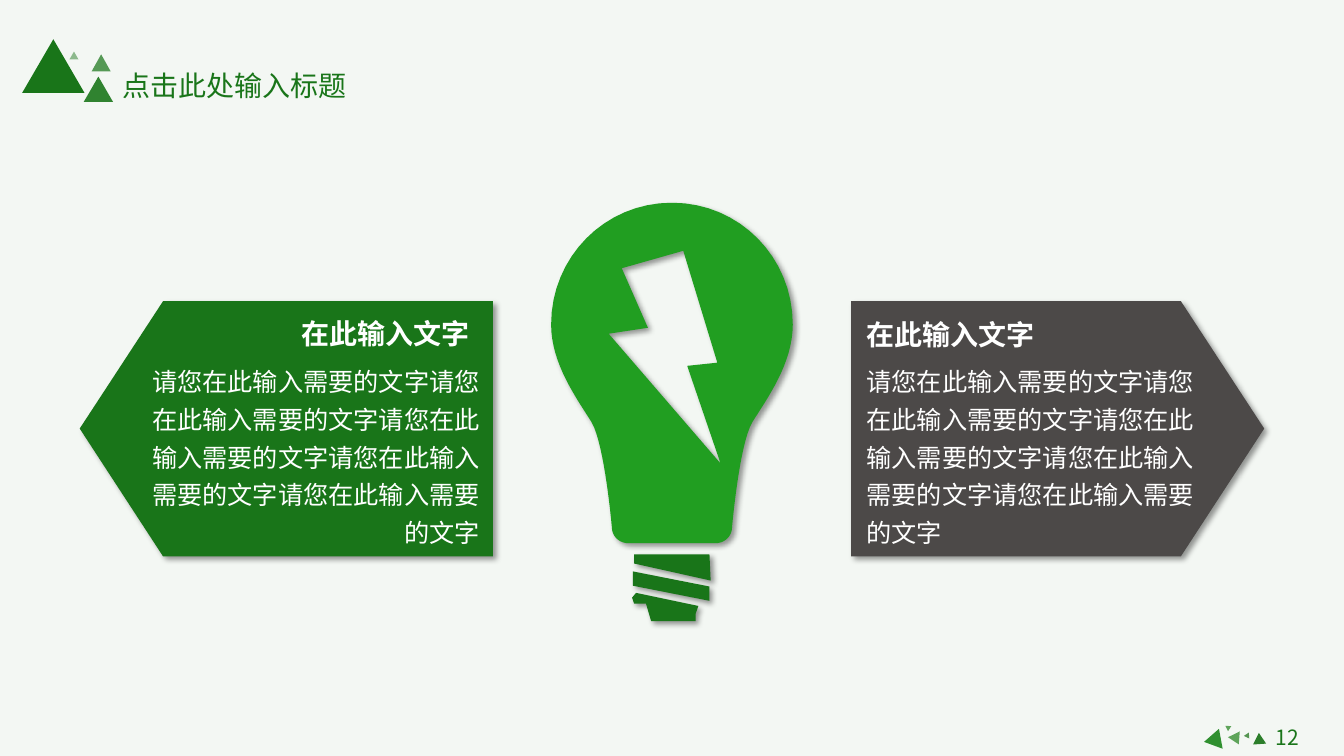
"""Build the light bulb slide with two arrow panels."""
from lxml.etree import SubElement
from pptx import Presentation
from pptx.dml.color import RGBColor
from pptx.enum.shapes import MSO_SHAPE
from pptx.enum.text import MSO_ANCHOR, PP_ALIGN
from pptx.oxml.ns import qn
from pptx.util import Cm, Pt

PALE = RGBColor(0xF3, 0xF7, 0xF3)
GREEN = RGBColor(0x19, 0x75, 0x19)
LEAF = RGBColor(0x21, 0x9E, 0x21)
GREY = RGBColor(0x4C, 0x49, 0x48)
WHITE = RGBColor(0xFF, 0xFF, 0xFF)
SAGE = RGBColor(0x5E, 0xA4, 0x5A)
FERN = RGBColor(0x30, 0x90, 0x30)
MOSS = RGBColor(0x2B, 0x7E, 0x2A)
DUST = RGBColor(0x55, 0x95, 0x51)
FACE = "Noto Sans CJK SC"
WIDE, HIGH = 33.87, 19.05

BODY = "请您在此输入需要的文字" * 5
HEAD = "在此输入文字"
LEFT, RIGHT, MID = PP_ALIGN.LEFT, PP_ALIGN.RIGHT, PP_ALIGN.CENTER
BIG = {"size": Pt(20), "bold": True}
TEXTS = [
    (BODY, (3.48, 8.92, 8.86, 5.05), RIGHT, 1.25, True, WHITE, {"size": Pt(18)}),
    (BODY, (21.59, 8.92, 8.86, 5.05), LEFT, 1.25, True, WHITE, {"size": Pt(18)}),
    (HEAD, (7.34, 7.85, 4.78, 1.12), LEFT, 1.0, False, WHITE, BIG),
    (HEAD, (21.59, 7.87, 4.78, 1.12), LEFT, 1.0, False, WHITE, BIG),
    ("12", (31.57, 18.14, 1.73, 0.89), MID, 1.0, True, GREEN, {"size": Pt(15)}),
    ("点击此处输入标题", (2.82, 1.6, 6.2, 1.12), MID, 1.0, False, GREEN, {"size": Pt(20)}),
]
PEAKS = [
    ((30.99, 18.49, 0.33, 0.28), 153.9, SAGE, 100),
    ((30.3, 18.44, 0.51, 0.43), 259.5, FERN, 100),
    ((31.57, 18.47, 0.33, 0.28), 356.2, MOSS, 100),
    ((30.86, 18.26, 0.15, 0.13), 303.5, SAGE, 100),
    ((31.37, 18.49, 0.15, 0.13), 145.8, DUST, 100),
    ((0.56, 0.99, 1.57, 1.35), 0, GREEN, 100),
    ((2.11, 1.93, 0.74, 0.64), 0, GREEN, 89),
    ((1.75, 1.3, 0.23, 0.2), 0, GREEN, 47),
    ((2.31, 1.37, 0.48, 0.43), 0, GREEN, 72),
]
ARROW = [(4.11, 7.59), (12.42, 7.59), (12.42, 14.02), (4.11, 14.02), (2.01, 10.8)]
TOP = (16.93, 5.11)
CURVES = [
    ((15.24, 5.11), (13.89, 6.48), (13.89, 8.18)),
    ((13.89, 9.17), (14.55, 10.06), (14.91, 10.64)),
    ((15.24, 11.2), (15.42, 13.28), (15.42, 13.28)),
    ((15.42, 13.51), (15.6, 13.69), (15.85, 13.69)),
]
BOLT = [(15.34, 8.41), (16.33, 8.26), (15.67, 6.76), (17.22, 6.32),
        (18.08, 9.14), (17.32, 9.22), (18.16, 11.68)]
SCREW = [
    [(15.98, 13.97), (17.88, 13.97), (17.91, 14.63), (15.98, 14.2)],
    [(17.88, 15.14), (17.88, 14.78), (15.95, 14.4), (15.95, 14.76)],
    [(16.03, 14.94), (17.6, 15.27), (17.53, 15.47), (17.53, 15.65),
     (16.41, 15.65), (16.28, 15.21), (15.98, 15.21), (15.93, 15.06)],
]


def flip(points):
    return [(WIDE - x, y) for x, y in points]


def bend(start, curves, steps=16):
    points = [start]
    for one, two, end in curves:
        a = points[-1]
        for n in range(1, steps + 1):
            t = n / steps
            u = 1 - t
            points.append(tuple(
                u**3 * p + 3 * u * u * t * q + 3 * u * t * t * r + t**3 * s
                for p, q, r, s in zip(a, one, two, end)))
    return points


def paint(shape, color):
    shape.shadow.inherit = False
    shape.fill.solid()
    shape.fill.fore_color.rgb = color
    shape.line.fill.background()


def fade(node, alpha):
    SubElement(node, qn("a:alpha"), val=str(alpha * 1000))


def draw(shapes, loops, color):
    trace = None
    for loop in loops:
        first, *rest = [(Cm(x), Cm(y)) for x, y in loop]
        if trace is None:
            trace = shapes.build_freeform(*first, scale=1.0)
        else:
            trace.move_to(*first)
        trace.add_line_segments(rest, close=True)
    shape = trace.convert_to_shape()
    paint(shape, color)
    glow = shape._element.spPr.find(qn("a:effectLst"))
    shade = SubElement(glow, qn("a:outerShdw"), blurRad=str(Pt(4)), dist=str(Pt(3)),
                       dir="2700000", algn="tl", rotWithShape="0")
    fade(SubElement(shade, qn("a:srgbClr"), val="000000"), 40)


def peak(shapes, box, turn, color, alpha):
    shape = shapes.add_shape(MSO_SHAPE.ISOSCELES_TRIANGLE, *map(Cm, box))
    shape.rotation = turn
    paint(shape, color)
    if alpha < 100:
        fade(shape._element.spPr.find(qn("a:solidFill"))[0], alpha)


def write(shapes, text, box, align, space, wrap, color, style):
    frame = shapes.add_textbox(*map(Cm, box)).text_frame
    frame.word_wrap = wrap
    frame.vertical_anchor = MSO_ANCHOR.TOP
    para = frame.paragraphs[0]
    para.alignment = align
    para.line_spacing = space
    run = para.add_run()
    run.text = text
    for key, value in {"name": FACE, **style}.items():
        setattr(run.font, key, value)
    run.font.color.rgb = color
    SubElement(run._r.rPr, qn("a:ea"), typeface=FACE)


def main():
    deck = Presentation()
    deck.slide_width, deck.slide_height = Cm(WIDE), Cm(HIGH)
    slide = deck.slides.add_slide(deck.slide_layouts[6])
    slide.background.fill.solid()
    slide.background.fill.fore_color.rgb = PALE
    shapes = slide.shapes
    draw(shapes, [flip(ARROW)], GREY)
    bulb = shapes.add_group_shape().shapes
    half = bend(TOP, CURVES)
    draw(bulb, [half + flip(half)[:0:-1], BOLT], LEAF)
    for part in SCREW:
        draw(bulb, [part], GREEN)
    draw(shapes, [ARROW], GREEN)
    for item in PEAKS:
        peak(shapes, *item)
    for item in TEXTS:
        write(shapes, *item)
    deck.save("out.pptx")


if __name__ == "__main__":
    main()
